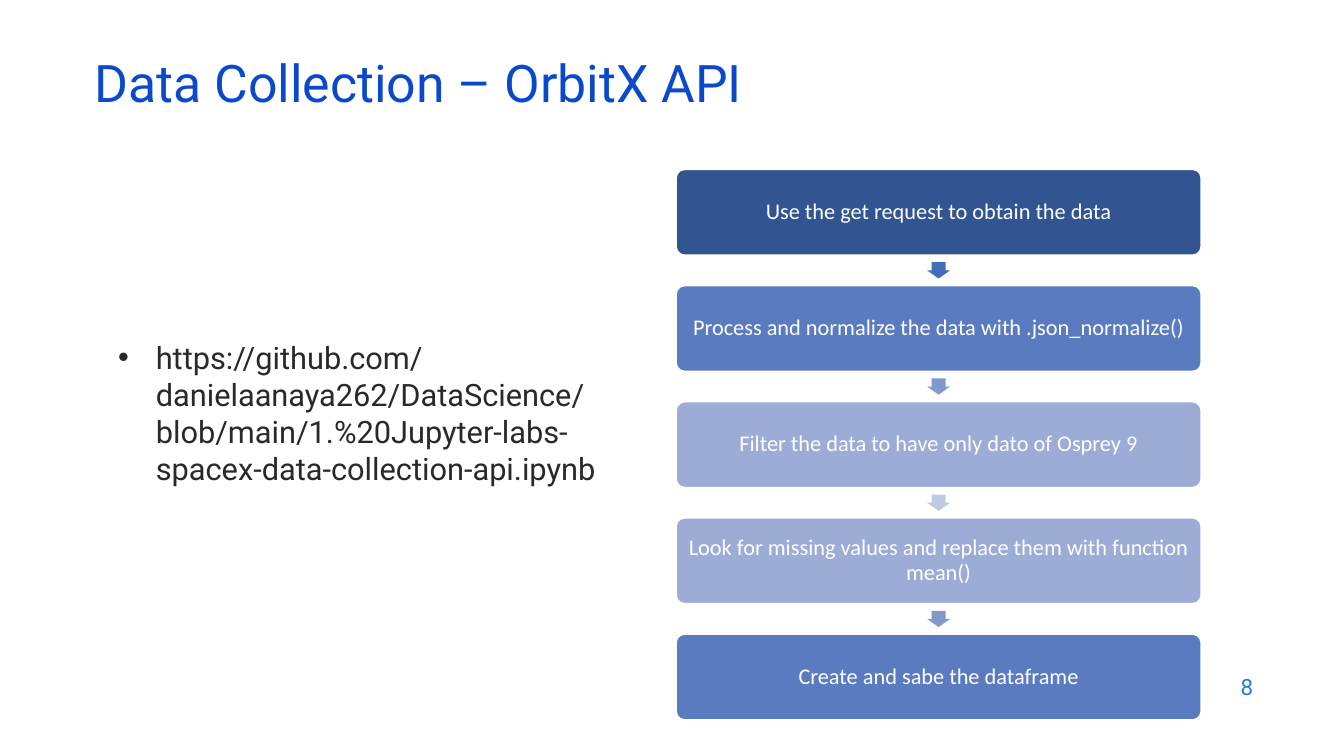
from lxml import etree
from pptx import Presentation
from pptx import util as u
from pptx.dml.color import RGBColor
from pptx.enum import shapes, text
from pptx.oxml.ns import qn

TITLE_BLUE = RGBColor(0x0B, 0x49, 0xCB)
NUMBER_BLUE = RGBColor(0x1C, 0x7D, 0xDB)
INK = RGBColor(0x29, 0x29, 0x29)
WHITE = RGBColor(0xFF, 0xFF, 0xFF)
NAVY = RGBColor(0x32, 0x54, 0x91)
BLUE = RGBColor(0x5B, 0x7B, 0xC0)
PALE = RGBColor(0x9D, 0xAC, 0xD6)
ARROW_DARK = RGBColor(0x41, 0x6D, 0xBB)
ARROW_MID = RGBColor(0x82, 0x99, 0xCE)
ARROW_PALE = RGBColor(0xC1, 0xC9, 0xE4)

STEPS = [
    ("Use the get request to obtain the data", NAVY),
    ("Process and normalize the data with .json_normalize()", BLUE),
    ("Filter the data to have only dato of Osprey 9", PALE),
    ("Look for missing values and replace them with function mean()", PALE),
    ("Create and sabe the dataframe", BLUE),
]
ARROWS = [ARROW_DARK, ARROW_MID, ARROW_PALE, ARROW_MID]


def place(shape, left, top, width, height):
    shape.left, shape.top = u.Cm(left), u.Cm(top)
    shape.width, shape.height = u.Cm(width), u.Cm(height)


def write(shape, words, size, color, font, align, anchor):
    frame = shape.text_frame
    frame.word_wrap = True
    frame.auto_size = text.MSO_AUTO_SIZE.NONE
    frame.vertical_anchor = anchor
    frame.text = words
    para = frame.paragraphs[0]
    para.alignment = align
    para.space_before = u.Pt(0)
    para.font.size = u.Pt(size)
    para.font.name = font
    para.font.color.rgb = color
    return para


def add_title(page, left, top, width, height):
    title = page.shapes.title
    place(title, left, top, width, height)
    para = write(title, "Data Collection – OrbitX API", 37, TITLE_BLUE, "Roboto",
                 text.PP_ALIGN.LEFT, text.MSO_ANCHOR.MIDDLE)
    para.line_spacing = 0.7


def add_link(page, left, top, width, height):
    body = page.placeholders[1]
    place(body, left, top, width, height)
    para = body.text_frame.paragraphs[0]
    settings = para._p.get_or_add_pPr()
    settings.set("marL", "0")
    settings.set("indent", "0")
    etree.SubElement(settings, qn("a:buNone"))
    write(body, "https://github.com/danielaanaya262/DataScience/blob/main/"
          "1.%20Jupyter-labs-spacex-data-collection-api.ipynb",
          22, INK, "Roboto", text.PP_ALIGN.LEFT, text.MSO_ANCHOR.TOP)


def add_block(page, kind, fill, left, top, width, height):
    block = page.shapes.add_shape(kind, u.Cm(left), u.Cm(top), u.Cm(width), u.Cm(height))
    block.shadow.inherit = False
    block.fill.solid()
    block.fill.fore_color.rgb = fill
    return block


def add_flow(page, left, top, width, height):
    step_height, arrow_width, arrow_height = 2.16, 0.58, 0.41
    pitch = (height - step_height) / (len(STEPS) - 1)
    for index, (words, fill) in enumerate(STEPS):
        step = add_block(page, shapes.MSO_SHAPE.ROUNDED_RECTANGLE, fill,
                         left, top + index * pitch, width, step_height)
        step.adjustments[0] = 0.1
        step.line.color.rgb = WHITE
        step.line.width = u.Pt(1)
        frame = step.text_frame
        frame.margin_left = frame.margin_right = u.Cm(0.23)
        para = write(step, words, 16, WHITE, "Calibri",
                     text.PP_ALIGN.CENTER, text.MSO_ANCHOR.MIDDLE)
        para.line_spacing = 0.9
    gap = pitch - step_height
    for index, fill in enumerate(ARROWS):
        arrow = add_block(page, shapes.MSO_SHAPE.DOWN_ARROW, fill,
                          left + (width - arrow_width) / 2,
                          top + index * pitch + step_height + (gap - arrow_height) / 2,
                          arrow_width, arrow_height)
        arrow.adjustments[0] = 0.6
        arrow.adjustments[1] = 0.5
        arrow.line.fill.background()


def add_number(page, left, top, width, height):
    number = page.shapes.add_textbox(u.Cm(left), u.Cm(top), u.Cm(width), u.Cm(height))
    write(number, "8", 16, NUMBER_BLUE, "Roboto",
          text.PP_ALIGN.RIGHT, text.MSO_ANCHOR.MIDDLE)


def main():
    deck = Presentation()
    deck.slide_width, deck.slide_height = u.Cm(33.87), u.Cm(19.05)
    page = deck.slides.add_slide(deck.slide_layouts[1])
    add_number(page, 24.21, 16.74, 7.62, 1.12)
    add_link(page, 2.72, 8.41, 12.88, 5.31)
    add_title(page, 2.13, 1.5, 29.21, 1.52)
    add_flow(page, 17.04, 4.27, 13.23, 13.87)
    deck.save("out.pptx")


if __name__ == "__main__":
    main()
